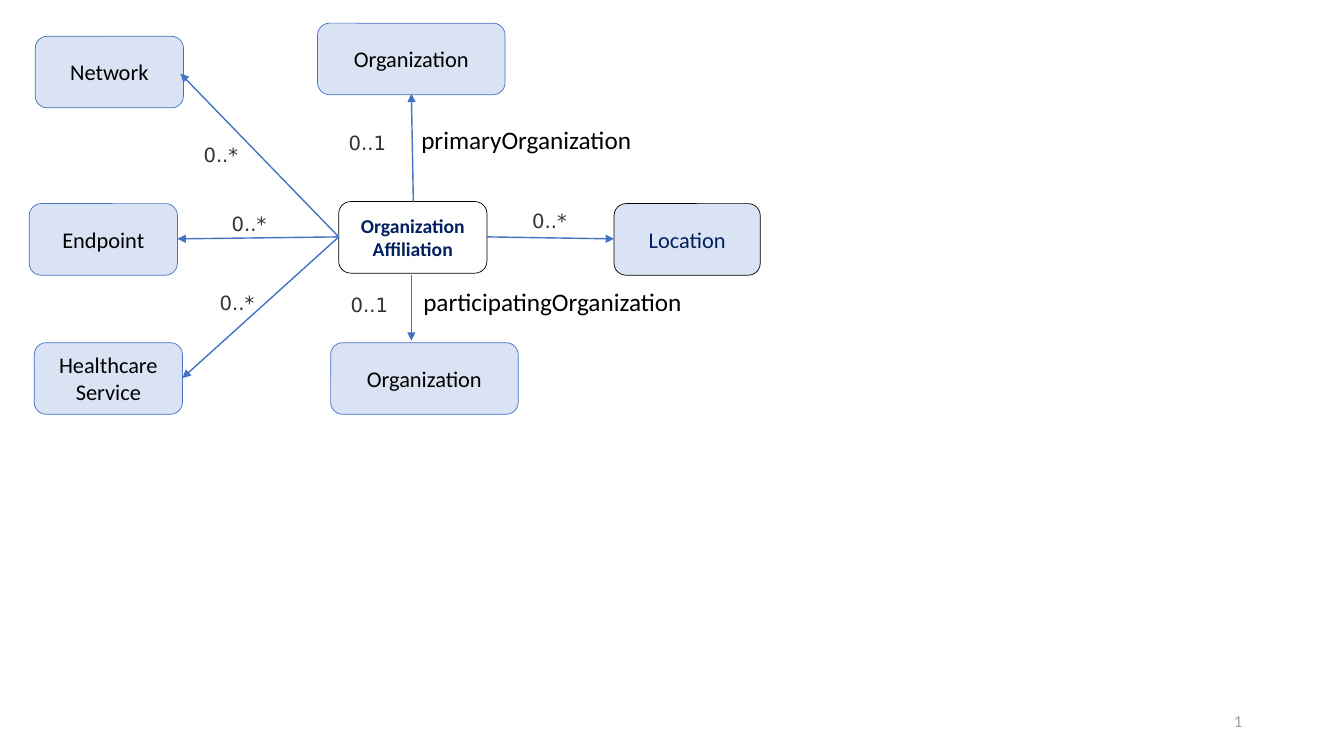
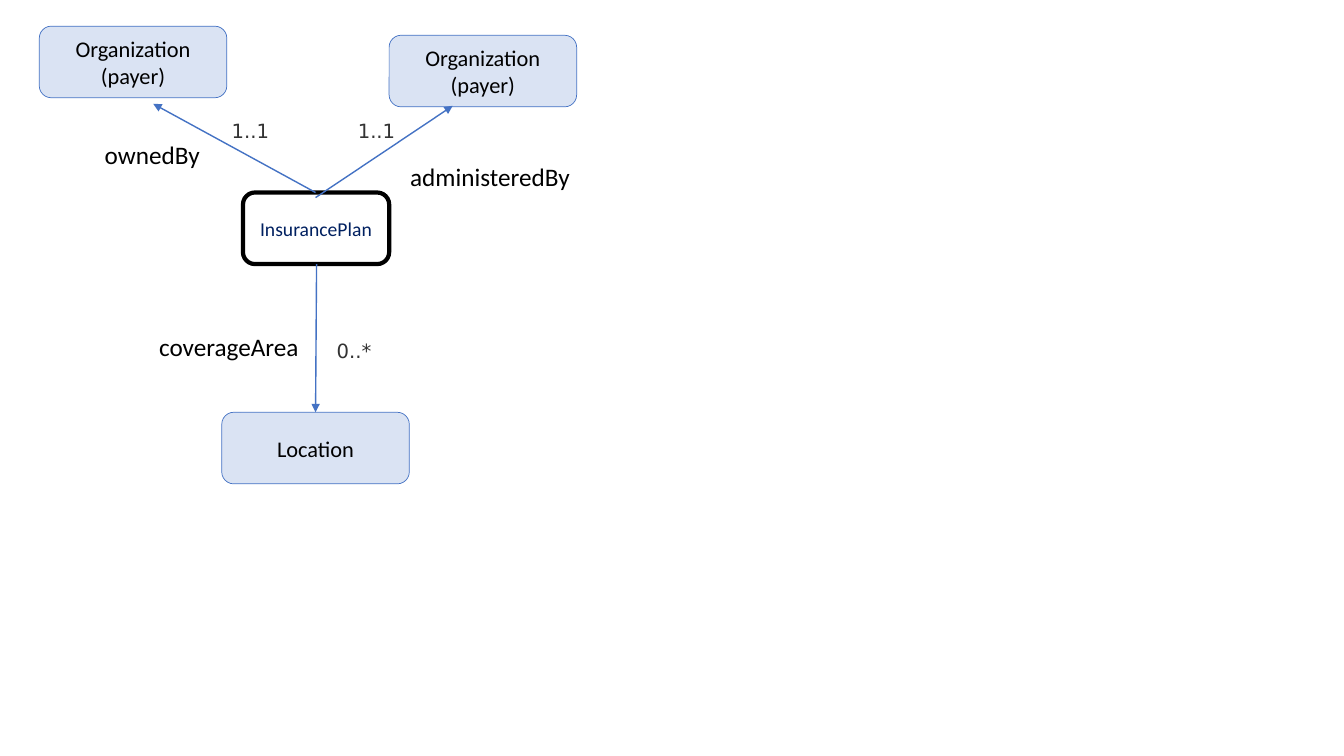
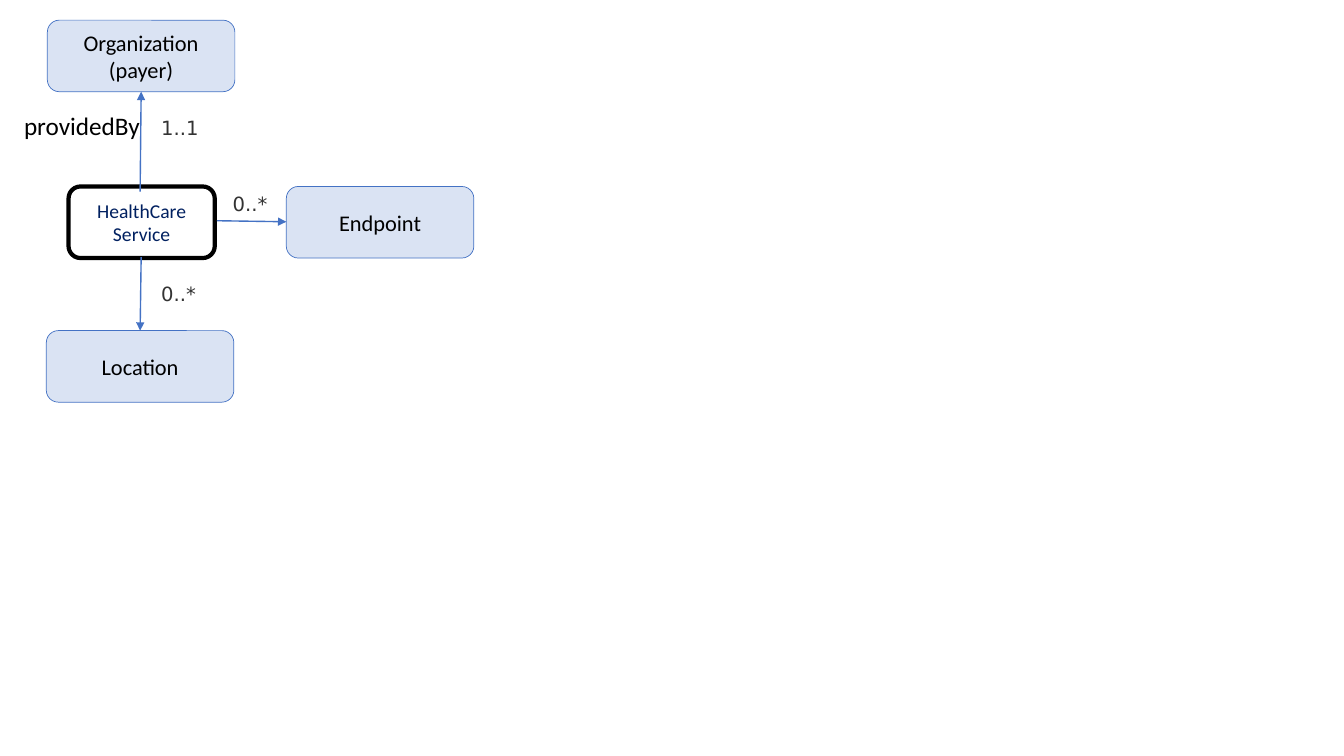
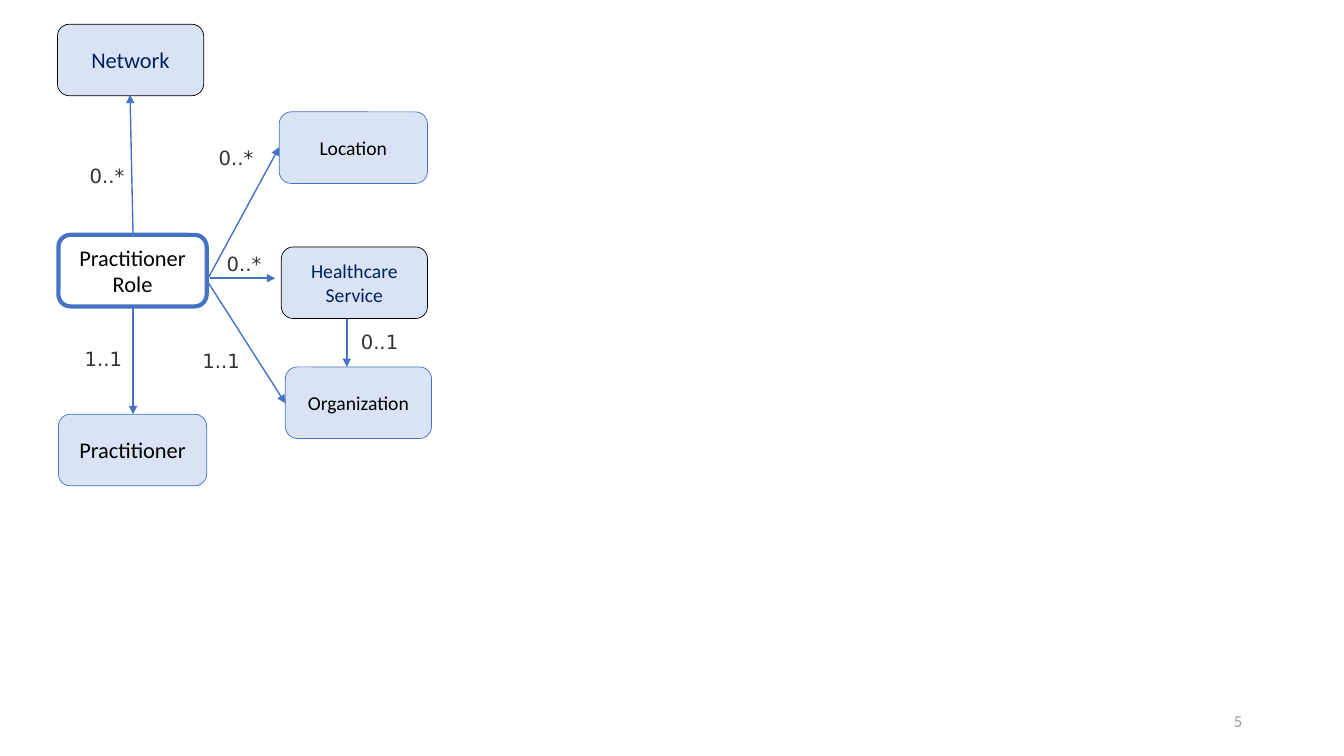
from pptx import Presentation
from pptx.dml.color import RGBColor
from pptx.enum import shapes, text
from pptx.oxml import ns
from pptx.util import Inches, Pt
from lxml import etree

BLUE = RGBColor(0x44, 0x72, 0xC4)
PALE = RGBColor(0xDA, 0xE3, 0xF3)
NAVY = RGBColor(0x00, 0x20, 0x60)
BLACK = RGBColor(0x00, 0x00, 0x00)
DARK = RGBColor(0x33, 0x33, 0x33)
GRAY = RGBColor(0x9E, 0x9E, 0x9C)

BOX_H = 0.71
SMALL, MEDIUM, WIDE = 1.45, 1.47, 1.86

BOX_STYLES = {
    "plain": {"fill": PALE, "line": BLUE, "width": 0.5, "color": BLACK},
    "navy": {"fill": PALE, "line": BLACK, "width": 0.5, "color": NAVY},
    "thin center": {"fill": None, "line": BLACK, "width": 0.5, "color": NAVY},
    "black center": {"fill": None, "line": BLACK, "width": 3, "color": NAVY},
    "blue center": {"fill": None, "line": BLUE, "width": 3, "color": BLACK},
}
ROLE = {"name": "Calibri", "size": Pt(18)}
COUNT = {"name": "DejaVu Sans", "size": Pt(14)}
NUMBER = {"name": "Calibri", "size": Pt(12)}

SLIDES = [
    {
        "number": "1",
        "boxes": [
            ("Organization", 3.15, 0.23, WIDE, "plain", 16),
            ("Organization Affiliation", 3.36, 2, MEDIUM, "thin center", 14),
            ("Healthcare Service", 0.34, 3.4, MEDIUM, "plain", 16),
            ("Location", 6.09, 2.02, SMALL, "navy", 16),
            ("Organization", 3.28, 3.4, WIDE, "plain", 16),
            ("Endpoint", 0.29, 2.02, MEDIUM, "plain", 16),
            ("Network", 0.35, 0.36, MEDIUM, "plain", 16),
        ],
        "arrows": [
            (4.08, 2.73, 4.08, 3.38),
            (3.36, 2.35, 1.81, 3.75),
            (4.1, 2, 4.08, 0.93),
            (4.83, 2.35, 6.09, 2.37),
            (3.36, 2.35, 1.76, 2.37),
            (3.36, 2.35, 1.79, 0.73),
        ],
        "roles": [
            ("primaryOrganization", 4.08, 1.18, 2.31),
            ("participatingOrganization", 4.1, 2.79, 2.8),
        ],
        "counts": [
            ("0..1", 3.36, 1.25),
            ("0..1", 3.38, 2.86),
            ("0..*", 5.18, 2.02),
            ("0..*", 2.2, 2.05),
            ("0..*", 2.08, 2.84),
            ("0..*", 1.92, 1.37),
        ],
    },
    {
        "number": None,
        "boxes": [
            ("InsurancePlan", 2.41, 1.91, SMALL, "black center", 14),
            ("Organization\n(payer)", 0.39, 0.26, WIDE, "plain", 16),
            ("Organization\n(payer)", 3.86, 0.35, WIDE, "plain", 16),
            ("Location", 2.2, 4.09, WIDE, "plain", 16),
        ],
        "arrows": [
            (3.14, 2.62, 3.13, 4.09),
            (3.13, 1.96, 4.49, 1.05),
            (3.13, 1.91, 1.52, 1.03),
        ],
        "roles": [
            ("ownedBy", 0.94, 1.33, 1.16),
            ("coverageArea", 1.48, 3.24, 1.6),
            ("administeredBy", 3.97, 1.55, 1.8),
        ],
        "counts": [
            ("1..1", 2.2, 1.13),
            ("1..1", 3.45, 1.13),
            ("0..*", 3.24, 3.31),
        ],
    },
    {
        "number": None,
        "boxes": [
            ("HealthCare\vService", 0.68, 1.85, SMALL, "black center", 14),
            ("Organization\n(payer)", 0.47, 0.2, WIDE, "plain", 16),
            ("Location", 0.46, 3.28, WIDE, "plain", 16),
            ("Endpoint", 2.84, 1.85, WIDE, "plain", 16),
        ],
        "arrows": [
            (1.4, 2.55, 1.39, 3.28),
            (1.39, 1.9, 1.4, 0.91),
            (2.15, 2.19, 2.84, 2.2),
        ],
        "roles": [("providedBy", 0.14, 1.05, 1.36)],
        "counts": [
            ("1..1", 1.5, 1.1),
            ("0..*", 1.5, 2.75),
            ("0..*", 2.21, 1.85),
        ],
    },
    {
        "number": "5",
        "boxes": [
            ("Practitioner\nRole", 0.58, 2.33, MEDIUM, "blue center", 16),
            ("Network", 0.57, 0.24, SMALL, "navy", 16),
            ("Practitioner", 0.58, 4.11, MEDIUM, "plain", 16),
            ("Healthcare Service", 2.79, 2.45, SMALL, "navy", 14),
            ("Organization", 2.83, 3.64, SMALL, "plain", 14),
            ("Location", 2.77, 1.11, MEDIUM, "plain", 14),
        ],
        "arrows": [
            (1.32, 2.33, 1.29, 0.94),
            (1.32, 3.04, 1.32, 4.11),
            (2.08, 2.76, 2.73, 2.76),
            (2.07, 2.75, 2.77, 1.46),
            (2.07, 2.81, 2.83, 4),
            (3.44, 3.16, 3.44, 3.64),
        ],
        "roles": [],
        "counts": [
            ("1..1", 1.91, 3.41),
            ("1..1", 0.74, 3.39),
            ("0..*", 2.07, 1.4),
            ("0..*", 2.15, 2.45),
            ("0..*", 0.79, 1.58),
            ("0..1", 3.48, 3.22),
        ],
    },
]


def write(tf, words, font, color, align):
    tf.text = words
    for p in tf.paragraphs:
        p.alignment = align
        for r in p.runs:
            for key, value in font.items():
                setattr(r.font, key, value)
            r.font.color.rgb = color


def add_label(s, words, at, font, color, wrap=True, align=text.PP_ALIGN.LEFT):
    tf = s.shapes.add_textbox(*map(Inches, at)).text_frame
    tf.word_wrap = wrap
    write(tf, words, font, color, align)
    return tf


prs = Presentation()
prs.slide_width, prs.slide_height = Inches(13.33), Inches(7.5)

for content in SLIDES:
    s = prs.slides.add_slide(prs.slide_layouts[6])

    if content["number"]:
        tf = add_label(s, content["number"], (9.42, 6.95, 3, 0.4), NUMBER, GRAY,
                       align=text.PP_ALIGN.RIGHT)
        tf.vertical_anchor = text.MSO_ANCHOR.MIDDLE

    for words, x, y, w, name, size in content["boxes"]:
        style = BOX_STYLES[name]
        sp = s.shapes.add_shape(shapes.MSO_SHAPE.ROUNDED_RECTANGLE,
                                *map(Inches, (x, y, w, BOX_H)))
        sp.shadow.inherit = False
        if style["fill"]:
            sp.fill.solid()
            sp.fill.fore_color.rgb = style["fill"]
        else:
            sp.fill.background()
        sp.line.color.rgb = style["line"]
        sp.line.width = Pt(style["width"])
        sp.text_frame.vertical_anchor = text.MSO_ANCHOR.MIDDLE
        font = {"name": "Calibri", "size": Pt(size), "bold": name == "thin center"}
        write(sp.text_frame, words, font, style["color"], text.PP_ALIGN.CENTER)

    for ends in content["arrows"]:
        arrow = s.shapes.add_connector(shapes.MSO_CONNECTOR.STRAIGHT, *map(Inches, ends))
        arrow.line.color.rgb = BLUE
        arrow.line.width = Pt(1)
        etree.SubElement(arrow.get_or_add_ln(), ns.qn("a:tailEnd"), type="triangle")
        etree.SubElement(arrow._element.spPr, ns.qn("a:effectLst"))

    for words, x, y, w in content["roles"]:
        tf = add_label(s, words, (x, y, w, 0.4), ROLE, BLACK, wrap=False)
        tf.auto_size = text.MSO_AUTO_SIZE.SHAPE_TO_FIT_TEXT

    for words, x, y in content["counts"]:
        tf = add_label(s, words, (x, y, 0.72, 0.34), COUNT, DARK)
        tf.auto_size = text.MSO_AUTO_SIZE.SHAPE_TO_FIT_TEXT

prs.save("out.pptx")
